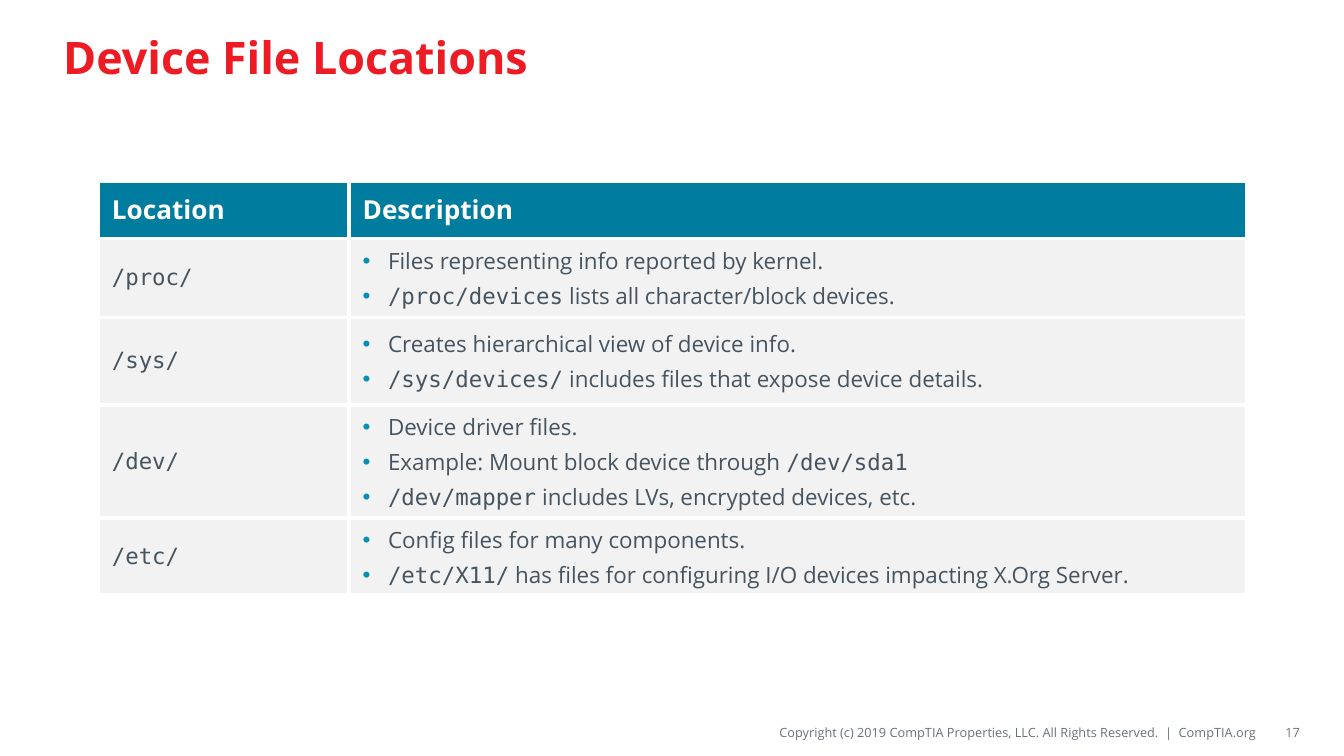
from dataclasses import dataclass
from lxml.etree import SubElement as Sub
from pptx import Presentation
from pptx.dml.color import RGBColor as RGB
from pptx.enum.text import MSO_ANCHOR as Anchor, MSO_AUTO_SIZE as Fit, PP_ALIGN as Align
from pptx.oxml.ns import qn
from pptx.util import Cm, Pt

TITLE = "Device File Locations"
NOTE = "Copyright (c) 2019 CompTIA Properties, LLC. All Rights Reserved.  |  CompTIA.org"
PAGE = "17"
HEADS = ["Location", "Description"]
# Text between backticks is set in the code font.
ROWS = [
    ("`/proc/`", ["Files representing info reported by kernel.",
                  "`/proc/devices` lists all character/block devices."]),
    ("`/sys/`", ["Creates hierarchical view of device info.",
                 "`/sys/devices/` includes files that expose device details."]),
    ("`/dev/`", ["Device driver files.",
                 "Example: Mount block device through `/dev/sda1`",
                 "`/dev/mapper` includes LVs, encrypted devices, etc."]),
    ("`/etc/`", ["Config files for many components.",
                 "`/etc/X11/` has files for configuring I/O devices impacting X.Org Server."]),
]
WIDTHS = [4.74, 16.96]
HEIGHTS = [1.09, 1.49, 1.65, 2.14, 1.46]


@dataclass(frozen=True)
class Theme:
    sans: str = "Open Sans"
    mono: str = "DejaVu Sans Mono"
    red: str = "ED1C24"
    teal: str = "007C9E"
    dot: str = "0090B9"
    ink: str = "45545F"
    grey: str = "69727B"
    pale: str = "F2F2F2"
    white: str = "FFFFFF"
    big: float = 24
    head: float = 14
    body: float = 12
    small: float = 6.8
    rule: float = 2.25


T = Theme()


def write(frame, lines, size=T.body, color=T.ink, bold=False, align=Align.LEFT, bullet=False):
    for i, line in enumerate(lines):
        par = frame.add_paragraph() if i else frame.paragraphs[0]
        if bullet:
            add_dot(par)
        par.alignment = align
        par.space_before = Pt(0.2 * size if i else 0)
        for j, part in enumerate(line.split("`")):
            if part:
                run = par.add_run()
                run.text = part
                font = run.font
                font.name = T.mono if j % 2 else T.sans
                font.size, font.bold = Pt(size), bold
                font.color.rgb = RGB.from_string(color)


def add_dot(par):
    props = par._p.get_or_add_pPr()
    props.set("marL", str(Cm(0.48)))
    props.set("indent", str(-Cm(0.48)))
    Sub(Sub(props, qn("a:buClr")), qn("a:srgbClr"), val=T.dot)
    Sub(props, qn("a:buFont"), typeface="Arial")
    Sub(props, qn("a:buChar"), char="•")


def paint(cell, color):
    """Give a cell its borders and then its fill."""
    props = cell._tc.get_or_add_tcPr()
    for side in ("lnL", "lnR", "lnT", "lnB"):
        edge = Sub(props, qn(f"a:{side}"), w=str(Pt(T.rule)))
        Sub(Sub(edge, qn("a:solidFill")), qn("a:srgbClr"), val=T.white)
    cell.fill.solid()
    cell.fill.fore_color.rgb = RGB.from_string(color)
    cell.vertical_anchor = Anchor.MIDDLE


def add_foot(slide, text, left, width):
    box = slide.shapes.add_textbox(Cm(left), Cm(13.56), Cm(width), Cm(0.56))
    frame = box.text_frame
    frame.word_wrap = True
    frame.vertical_anchor = Anchor.MIDDLE
    frame.margin_left = frame.margin_right = 0
    frame.margin_top = frame.margin_bottom = Cm(0.1)
    write(frame, [text], size=T.small, color=T.grey, align=Align.RIGHT)


def add_title(slide):
    title = slide.shapes.title
    title.left, title.top, title.width, title.height = Cm(0.94), Cm(0.2), Cm(23.5), Cm(1.75)
    frame = title.text_frame
    frame.auto_size = Fit.NONE
    frame.vertical_anchor = Anchor.MIDDLE
    write(frame, [TITLE], size=T.big, color=T.red, bold=True)


def add_grid(slide):
    shape = slide.shapes.add_table(len(HEIGHTS), len(WIDTHS), Cm(1.86), Cm(3.42),
                                   Cm(sum(WIDTHS)), Cm(sum(HEIGHTS)))
    grid = shape.table
    for col, width in zip(grid.columns, WIDTHS):
        col.width = Cm(width)
    for row, height in zip(grid.rows, HEIGHTS):
        row.height = Cm(height)
    for c, head in enumerate(HEADS):
        cell = grid.cell(0, c)
        paint(cell, T.teal)
        write(cell.text_frame, [head], size=T.head, color=T.white, bold=True)
    for r, (place, notes) in enumerate(ROWS, 1):
        for c, lines in enumerate([[place], notes]):
            cell = grid.cell(r, c)
            paint(cell, T.pale)
            write(cell.text_frame, lines, bullet=c == 1)


def main():
    deck = Presentation()
    deck.slide_width, deck.slide_height = Cm(25.4), Cm(14.29)
    slide = deck.slides.add_slide(deck.slide_layouts[5])
    add_foot(slide, NOTE, 9.86, 13.89)
    add_title(slide)
    add_foot(slide, PAGE, 23.83, 0.74)
    add_grid(slide)
    deck.save("out.pptx")


if __name__ == "__main__":
    main()
